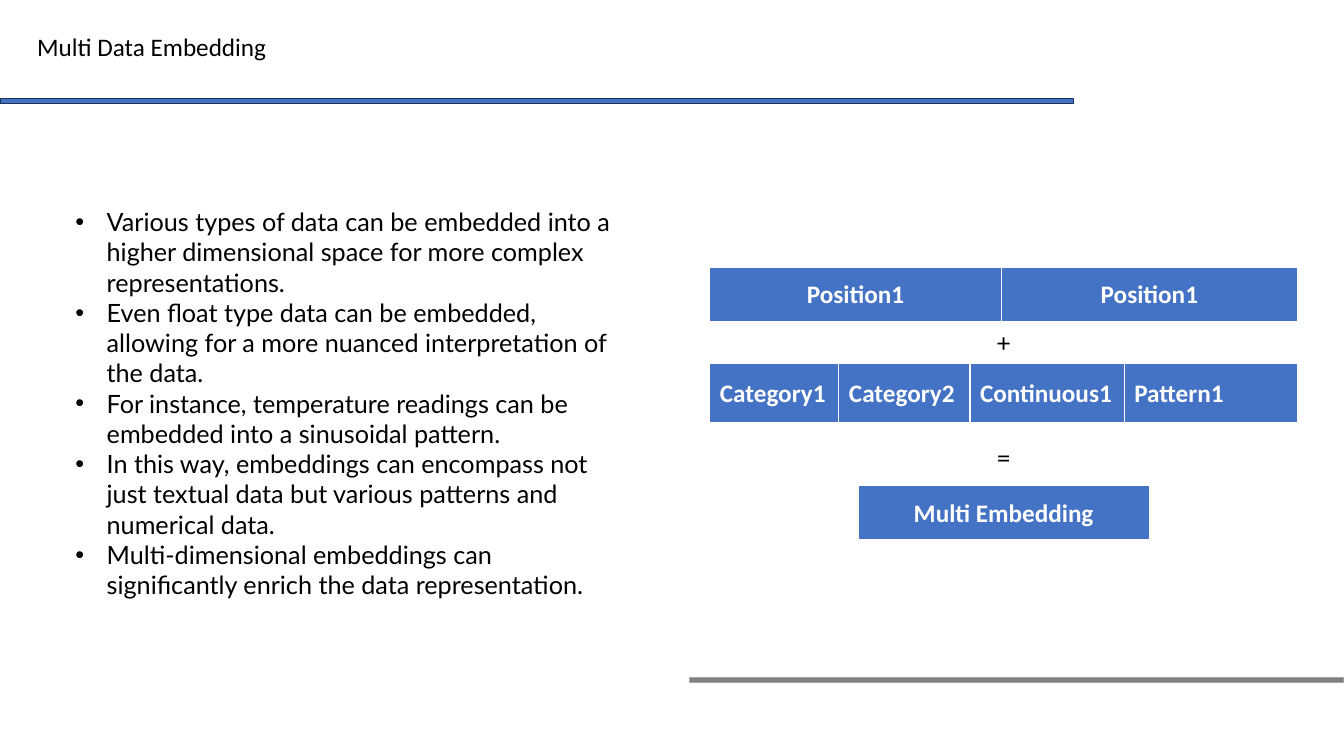
from dataclasses import dataclass

from lxml import etree
from pptx import Presentation
from pptx.dml.color import RGBColor
from pptx.enum import shapes, text
from pptx.oxml import ns
from pptx.util import Inches, Pt


@dataclass(frozen=True)
class Theme:
    blue: str = "4472C4"
    navy: str = "1E3256"
    gray: str = "808080"
    light_gray: str = "A6A6A6"
    white: str = "FFFFFF"
    black: str = "000000"
    size: int = 18
    label_font: str = "Calibri"
    body_font: str = "Lato"


THEME = Theme()
LEFT, CENTER = text.PP_ALIGN.LEFT, text.PP_ALIGN.CENTER
EMBEDDING_LEFT = 7.04
BULLET_INDENT = 0.31
BORDERS = {"lnL": 1, "lnR": 1, "lnT": 1, "lnB": 3}

POINTS = [
    "Various types of data can be embedded into a higher dimensional space "
    "for more complex representations.",
    "Even float type data can be embedded, allowing for a more nuanced "
    "interpretation of the data.",
    "For instance, temperature readings can be embedded into a sinusoidal pattern.",
    "In this way, embeddings can encompass not just textual data but various "
    "patterns and numerical data.",
    "Multi-dimensional embeddings can significantly enrich the data representation.",
]


def inches(*lengths):
    return [Inches(length) for length in lengths]


def write(frame, lines, font=THEME.body_font, color=THEME.black, bold=False,
          align=LEFT, bullet=False):
    for number, line in enumerate(lines):
        paragraph = frame.add_paragraph() if number else frame.paragraphs[0]
        paragraph.alignment = align
        run = paragraph.add_run()
        run.text = line
        run.font.name = font
        run.font.size = Pt(THEME.size)
        run.font.bold = bold
        run.font.color.rgb = RGBColor.from_string(color)
        if bullet:
            props = paragraph._p.get_or_add_pPr()
            props.set("marL", str(Inches(BULLET_INDENT)))
            props.set("indent", str(-Inches(BULLET_INDENT)))
            etree.SubElement(props, ns.qn("a:buFont"), typeface="Arial")
            etree.SubElement(props, ns.qn("a:buChar"), char="•")


def add_text(slide, box, lines, **style):
    frame = slide.shapes.add_textbox(*inches(*box)).text_frame
    frame.word_wrap = True
    write(frame, lines, **style)


def add_rule(slide, box, fill, line):
    rule = slide.shapes.add_shape(shapes.MSO_SHAPE.RECTANGLE, *inches(*box))
    rule.shadow.inherit = False
    rule.fill.solid()
    rule.fill.fore_color.rgb = RGBColor.from_string(fill)
    rule.line.color.rgb = RGBColor.from_string(line)
    rule.line.width = Pt(1)


def add_borders(cell):
    props = cell._tc.get_or_add_tcPr()
    for position, (side, width) in enumerate(BORDERS.items()):
        border = etree.Element(ns.qn(f"a:{side}"), w=str(Pt(width)))
        fill = etree.SubElement(border, ns.qn("a:solidFill"))
        etree.SubElement(fill, ns.qn("a:srgbClr"), val=THEME.white)
        props.insert(position, border)


def add_embedding_row(slide, left, top, height, parts, align=CENTER):
    labels, widths = zip(*parts)
    box = inches(left, top, sum(widths), height)
    table = slide.shapes.add_table(1, len(parts), *box).table
    table.rows[0].height = Inches(height)
    for column, width in zip(table.columns, widths):
        column.width = Inches(width)
    for cell, label in zip(table.rows[0].cells, labels):
        cell.fill.solid()
        cell.fill.fore_color.rgb = RGBColor.from_string(THEME.blue)
        cell.vertical_anchor = text.MSO_ANCHOR.MIDDLE
        add_borders(cell)
        write(cell.text_frame, [label], font=THEME.label_font,
              color=THEME.white, bold=True, align=align)


def main():
    deck = Presentation()
    deck.slide_width, deck.slide_height = inches(13.33, 7.5)
    slide = deck.slides.add_slide(deck.slide_layouts[6])

    add_rule(slide, (0, 0.98, 10.65, 0.05), THEME.blue, THEME.navy)
    add_text(slide, (0.27, 0.26, 2.97, 0.4), ["Multi Data Embedding"],
             font=THEME.label_font)
    add_rule(slide, (6.84, 6.72, 6.49, 0.05), THEME.gray, THEME.light_gray)
    add_text(slide, (0.65, 2, 5.58, 3.74), POINTS, bullet=True)

    features = [("Category1", 1.28), ("Category2", 1.3),
                ("Continuous1", 1.53), ("Pattern1", 1.72)]
    positions = [("Position1", 2.89), ("Position1", 2.94)]
    add_embedding_row(slide, EMBEDDING_LEFT, 3.61, 0.6, features, align=LEFT)
    add_embedding_row(slide, EMBEDDING_LEFT, 2.65, 0.55, positions)
    add_embedding_row(slide, 8.51, 4.82, 0.55, [("Multi Embedding", 2.89)])
    for operator, top in (("+", 3.2), ("=", 4.34)):
        add_text(slide, (9.57, top, 0.77, 0.4), [operator], align=CENTER)

    deck.save("out.pptx")


main()
